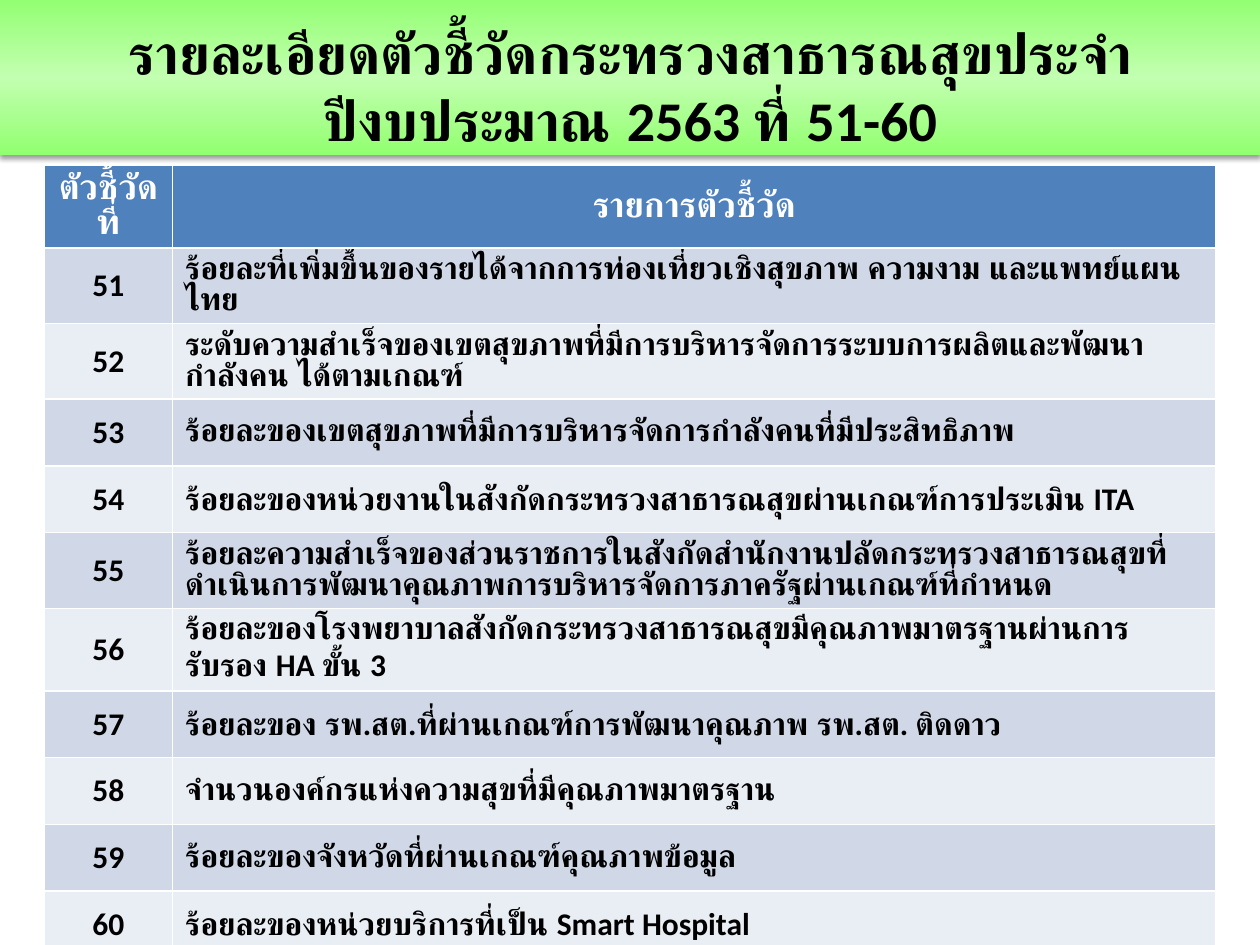
from lxml.etree import SubElement
from pptx import Presentation
from pptx.dml.color import RGBColor
from pptx.enum.text import MSO_ANCHOR, MSO_AUTO_SIZE, PP_ALIGN
from pptx.oxml import parse_xml
from pptx.oxml.ns import nsdecls, qn
from pptx.util import Inches, Pt

TITLE = "รายละเอียดตัวชี้วัดกระทรวงสาธารณสุขประจำปีงบประมาณ 2563 ที่ 51-60"
HEADS = ["ตัวชี้วัดที่", "รายการตัวชี้วัด"]
FIRST = 51
ITEMS = [
    "ร้อยละที่เพิ่มขึ้นของรายได้จากการท่องเที่ยวเชิงสุขภาพ ความงาม และแพทย์แผนไทย",
    "ระดับความสำเร็จของเขตสุขภาพที่มีการบริหารจัดการระบบการผลิตและพัฒนากำลังคน ได้ตามเกณฑ์",
    "ร้อยละของเขตสุขภาพที่มีการบริหารจัดการกำลังคนที่มีประสิทธิภาพ",
    "ร้อยละของหน่วยงานในสังกัดกระทรวงสาธารณสุขผ่านเกณฑ์การประเมิน ITA",
    "ร้อยละความสำเร็จของส่วนราชการในสังกัดสำนักงานปลัดกระทรวงสาธารณสุขที่ "
    "ดำเนินการพัฒนาคุณภาพการบริหารจัดการภาครัฐผ่านเกณฑ์ที่กำหนด",
    "ร้อยละของโรงพยาบาลสังกัดกระทรวงสาธารณสุขมีคุณภาพมาตรฐานผ่านการรับรอง HA ขั้น 3",
    "ร้อยละของ รพ.สต.ที่ผ่านเกณฑ์การพัฒนาคุณภาพ รพ.สต. ติดดาว",
    "จำนวนองค์กรแห่งความสุขที่มีคุณภาพมาตรฐาน",
    "ร้อยละของจังหวัดที่ผ่านเกณฑ์คุณภาพข้อมูล",
    "ร้อยละของหน่วยบริการที่เป็น Smart Hospital",
]


def color(code):
    """Turn a hex string into a colour."""
    return RGBColor.from_string(code)


def style(para, size, code, align):
    """Format a paragraph and its runs."""
    para.alignment = align
    for run in para.runs:
        run.font.name = "Calibri"
        run.font.size = Pt(size)
        run.font.bold = True
        run.font.color.rgb = color(code)


def shade(shape):
    """Give a shape the green gradient and a soft shadow below."""
    shape.line.fill.background()
    shape.fill.gradient()
    shape.fill.gradient_angle = 90
    props = shape.element.spPr
    stops = props.find(".//" + qn("a:gsLst"))
    for stop in list(stops):
        stops.remove(stop)
    for pos, code in ((0, "92FF70"), (50, "C2FFB0"), (100, "93FF73")):
        stop = SubElement(stops, qn("a:gs"), pos=str(pos * 1000))
        SubElement(stop, qn("a:srgbClr"), val=code)
    shape.shadow.inherit = False
    props.find(qn("a:effectLst")).append(parse_xml(
        f'<a:outerShdw {nsdecls("a")} blurRad="{Pt(3.1)}" dist="{Pt(1.6)}" '
        'dir="5400000" rotWithShape="0"><a:srgbClr val="000000">'
        '<a:alpha val="38000"/></a:srgbClr></a:outerShdw>'))


def banner(slide, left, top, width, height):
    """Place the green band with the slide title on it."""
    band = slide.shapes.add_shape(1, left, top, width, height)
    shade(band)
    title = slide.shapes.title
    title.left, title.top = left + Inches(0.43), top + Inches(0.36)
    title.width, title.height = width - Inches(0.85), Inches(0.64)
    frame = title.text_frame
    frame.text = TITLE
    frame.word_wrap = True
    frame.auto_size = MSO_AUTO_SIZE.NONE
    frame.vertical_anchor = MSO_ANCHOR.MIDDLE
    style(frame.paragraphs[0], 32, "000000", PP_ALIGN.CENTER)
    band.element.addnext(title.element)


def grid(slide, left, top, width, height):
    """Place the table of numbered indicators."""
    rows = [HEADS] + [[str(n), item] for n, item in enumerate(ITEMS, FIRST)]
    table = slide.shapes.add_table(len(rows), 2, left, top, width, height).table
    table.columns[0].width = Inches(1.02)
    table.columns[1].width = width - Inches(1.02)
    for i, row in enumerate(rows):
        head = i == 0
        back = "4F81BD" if head else ("E9EDF4", "D0D8E8")[i % 2]
        for j, text in enumerate(row):
            cell = table.cell(i, j)
            cell.text_frame.text = text
            cell.vertical_anchor = MSO_ANCHOR.MIDDLE
            cell.fill.solid()
            cell.fill.fore_color.rgb = color(back)
            align = PP_ALIGN.CENTER if head or j == 0 else PP_ALIGN.LEFT
            style(cell.text_frame.paragraphs[0], 20 if head else 18,
                  "FFFFFF" if head else "000000", align)


def main():
    """Build and save the slide."""
    deck = Presentation()
    deck.slide_width, deck.slide_height = Inches(10), Inches(7.5)
    slide = deck.slides.add_slide(deck.slide_layouts[5])
    banner(slide, 0, 0, deck.slide_width, Inches(1.23))
    grid(slide, Inches(0.35), Inches(1.31), Inches(9.3), Inches(5.83))
    deck.save("out.pptx")


if __name__ == "__main__":
    main()
